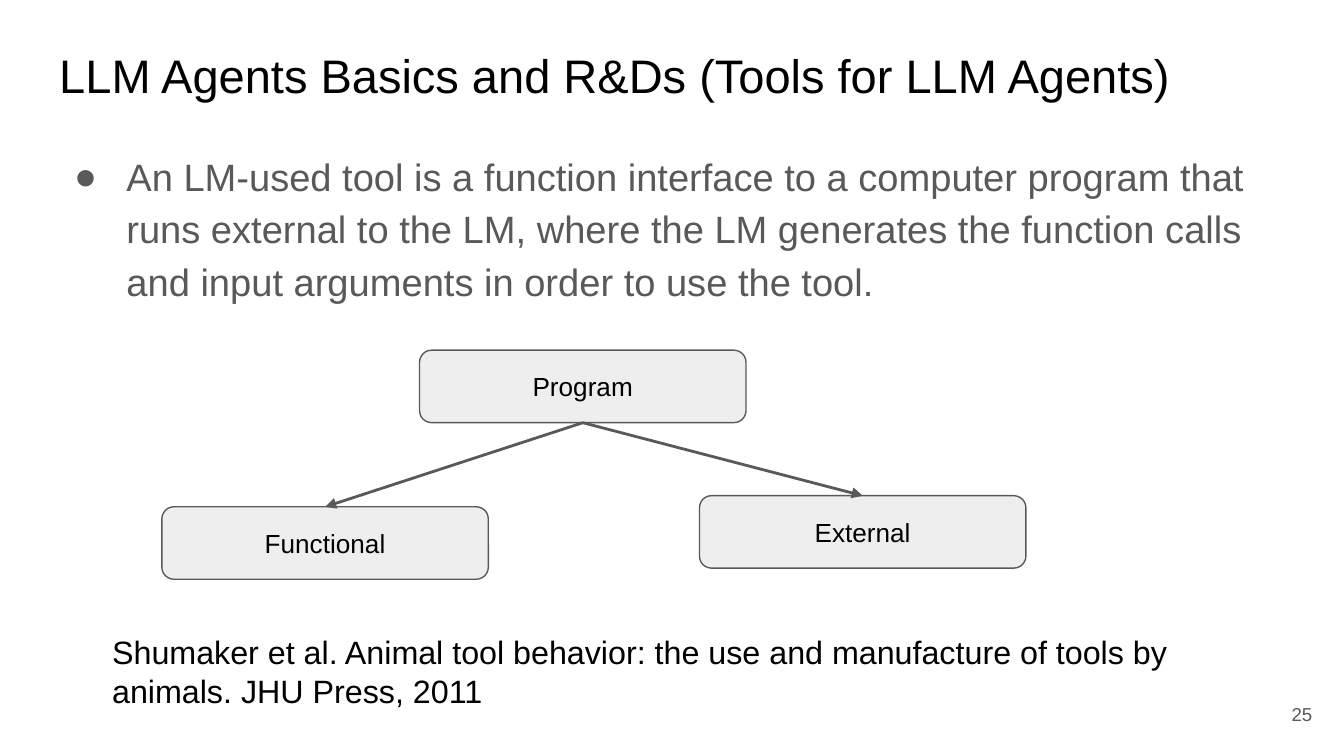
from dataclasses import dataclass
from lxml.etree import SubElement as Sub
from pptx import Presentation
from pptx.dml.color import RGBColor as Rgb
from pptx.enum.shapes import MSO_CONNECTOR as Conn, MSO_SHAPE as Shape
from pptx.enum.text import MSO_ANCHOR as Anchor, PP_ALIGN as Align
from pptx.oxml.ns import qn
from pptx.util import Cm, Pt


@dataclass(frozen=True)
class Theme:
    font: str = "Arial"
    ink: Rgb = Rgb(0, 0, 0)
    gray: Rgb = Rgb(0x59, 0x59, 0x59)
    pale: Rgb = Rgb(0xEE, 0xEE, 0xEE)
    title: float = 25.2
    body: float = 20.4
    cite: float = 17.3
    node: float = 14
    page: float = 10


THEME = Theme()
TOP, BOTTOM = 0, 2


def add_dot(para):
    props = para._p.get_or_add_pPr()
    props.set("marL", str(Cm(1.27)))
    props.set("indent", str(Cm(-0.99)))
    tint = Sub(props, qn("a:buClr"))
    Sub(tint, qn("a:srgbClr"), val=str(THEME.gray))
    Sub(props, qn("a:buFont"), typeface=THEME.font)
    Sub(props, qn("a:buChar"), char="●")


def set_text(shape, text, size, color, align=Align.LEFT, anchor=Anchor.TOP, dot=False):
    frame = shape.text_frame
    frame.word_wrap = True
    frame.vertical_anchor = anchor
    frame.margin_left = frame.margin_right = Cm(0.25)
    frame.margin_top = frame.margin_bottom = Cm(0.25)
    para = frame.paragraphs[0]
    para.text = text
    para.alignment = align
    if dot:
        add_dot(para)
        para.line_spacing = 1.15
    para.font.name = THEME.font
    para.font.size = Pt(size)
    para.font.color.rgb = color


def add_text(slide, box, text, size, color, **style):
    area = slide.shapes.add_textbox(*map(Cm, box))
    set_text(area, text, size, color, **style)


def add_node(slide, left, top, text):
    node = slide.shapes.add_shape(
        Shape.ROUNDED_RECTANGLE, Cm(left), Cm(top), Cm(6.17), Cm(1.37))
    node.shadow.inherit = False
    node.fill.solid()
    node.fill.fore_color.rgb = THEME.pale
    node.line.color.rgb = THEME.gray
    node.line.width = Pt(0.75)
    set_text(node, text, THEME.node, THEME.ink, align=Align.CENTER, anchor=Anchor.MIDDLE)
    return node


def add_arrow(slide, start, end):
    arrow = slide.shapes.add_connector(Conn.STRAIGHT, 0, 0, 0, 0)
    arrow.begin_connect(start, BOTTOM)
    arrow.end_connect(end, TOP)
    arrow.line.color.rgb = THEME.gray
    arrow.line.width = Pt(1.5)
    Sub(arrow.line._get_or_add_ln(), qn("a:tailEnd"), type="triangle")
    Sub(arrow._element.spPr, qn("a:effectLst"))


def add_tree(slide, left, top):
    root = add_node(slide, left + 4.87, top, "Program")
    leaves = [
        add_node(slide, left, top + 2.96, "Functional"),
        add_node(slide, left + 10.16, top + 2.75, "External"),
    ]
    for leaf in leaves:
        add_arrow(slide, root, leaf)


def main():
    deck = Presentation()
    deck.slide_width, deck.slide_height = Cm(25.4), Cm(14.29)
    slide = deck.slides.add_slide(deck.slide_layouts[6])
    add_text(slide, (0.87, 0.62, 23.67, 1.6),
             "LLM Agents Basics and R&Ds (Tools for LLM Agents)",
             THEME.title, THEME.ink)
    add_text(slide, (0.87, 2.52, 23.67, 3.6),
             "An LM-used tool is a function interface to a computer program that "
             "runs external to the LM, where the LM generates the function calls "
             "and input arguments in order to use the tool.",
             THEME.body, THEME.gray, dot=True)
    add_text(slide, (23.53, 12.95, 1.52, 1.09), "25", THEME.page, THEME.gray,
             align=Align.RIGHT, anchor=Anchor.MIDDLE)
    add_tree(slide, 3.06, 6.62)
    add_text(slide, (1.87, 11.71, 21.64, 1.7),
             "Shumaker et al. Animal tool behavior: the use and manufacture of "
             "tools by animals. JHU Press, 2011",
             THEME.cite, THEME.ink)
    deck.save("out.pptx")


if __name__ == "__main__":
    main()
